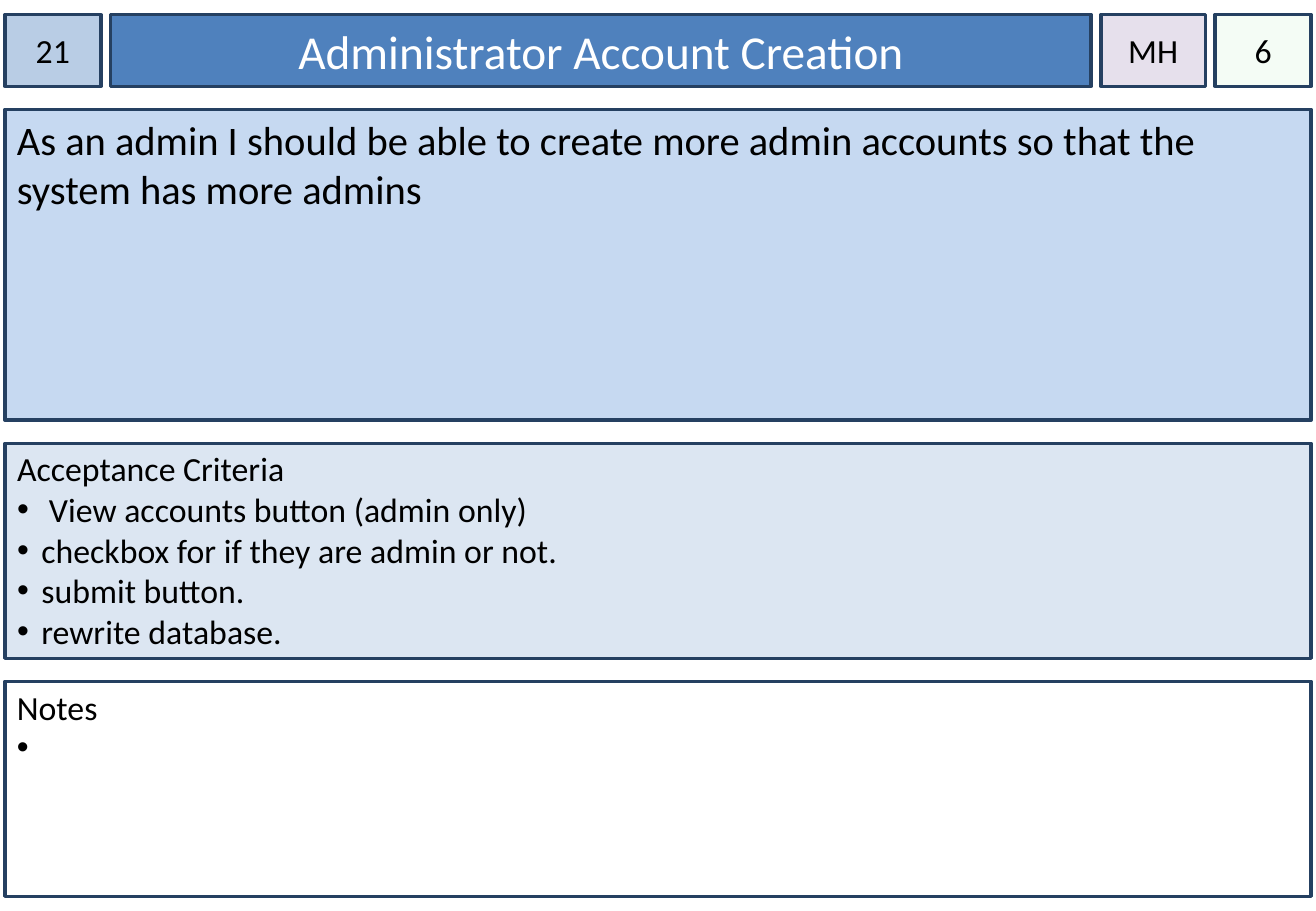
from lxml import etree
from pptx import Presentation
from pptx.dml.color import RGBColor
from pptx.enum.shapes import MSO_SHAPE
from pptx.enum.text import MSO_ANCHOR, MSO_AUTO_SIZE, PP_ALIGN
from pptx.oxml.ns import qn
from pptx.util import Pt

RECT = MSO_SHAPE.RECTANGLE
MIDDLE, TOP = MSO_ANCHOR.MIDDLE, MSO_ANCHOR.TOP
CENTER, LEFT = PP_ALIGN.CENTER, PP_ALIGN.LEFT
NO_FIT = MSO_AUTO_SIZE.NONE

PX = 9144
SLIDE_W, SLIDE_H = 1083, 750
MARGIN_X, MARGIN_Y = 4, 12
CELL_GAP, ROW_GAP = 8, 19
HEADER_H, CARD_W = 59, 1075
INDENT = 20
FONT = "Calibri"

COLORS = {
    "border": "254061", "black": "000000", "white": "FFFFFF",
    "number": "B9CDE5", "title": "4F81BD", "priority": "E6E0EC",
    "estimate": "CCF0CD", "story": "C6D9F1", "criteria": "DCE6F2",
    "notes": "FFFFFF",
}
ALPHA = {"estimate": 20}

HEADER = [
    ("number", 79, "21", 20, "black"),
    ("title", 807, "Administrator Account Creation", 28, "white"),
    ("priority", 86, "MH", 20, "black"),
    ("estimate", 79, "6", 20, "black"),
]
CARDS = [
    ("story", 256, 24, 5,
     "As an admin I should be able to create more admin accounts "
     "so that the system has more admins", []),
    ("criteria", 177, 20, 4, "Acceptance Criteria",
     [" View accounts button (admin only)",
      "checkbox for if they are admin or not.",
      "submit button.",
      "rewrite database."]),
    ("notes", 177, 20, 4, "Notes", [" "]),
]


def rgb(name):
    return RGBColor.from_string(COLORS[name])


def place(name, x, y, w, h):
    box = [v * PX for v in (x, y, w, h)]
    if name in placeholders:
        sp = placeholders[name]
        sp.left, sp.top, sp.width, sp.height = box
    else:
        sp = slide.shapes.add_shape(RECT, *box)
        sp.shadow.inherit = False
    sp.fill.solid()
    sp.fill.fore_color.rgb = rgb(name)
    if name in ALPHA:
        color = sp.fill._xPr.find(".//" + qn("a:srgbClr"))
        etree.SubElement(color, qn("a:alpha"), val=str(ALPHA[name] * 1000))
    sp.line.color.rgb = rgb("border")
    sp.line.width = Pt(2)
    return sp


def set_frame(sp, anchor, side, top):
    tf = sp.text_frame
    tf.word_wrap = True
    tf.auto_size = NO_FIT
    tf.vertical_anchor = anchor
    tf.margin_left = tf.margin_right = side * PX
    tf.margin_top, tf.margin_bottom = top * PX, 5 * PX
    return tf


def write(p, text, size, color, align, bullet=False):
    p.alignment = align
    p.space_before = Pt(0)
    pPr = p._p.get_or_add_pPr()
    indent = INDENT * PX if bullet else 0
    pPr.set("marL", str(indent))
    pPr.set("indent", str(-indent))
    if bullet:
        etree.SubElement(pPr, qn("a:buFont"), typeface="Arial")
        etree.SubElement(pPr, qn("a:buChar"), char="•")
    else:
        etree.SubElement(pPr, qn("a:buNone"))
    r = p.add_run()
    r.text = text
    r.font.name = FONT
    r.font.size = Pt(size)
    r.font.color.rgb = rgb(color)


prs = Presentation()
prs.slide_width, prs.slide_height = SLIDE_W * PX, SLIDE_H * PX
slide = prs.slides.add_slide(prs.slide_layouts[1])
placeholders = {"title": slide.shapes.title, "criteria": slide.placeholders[1]}

x = MARGIN_X
for name, w, text, size, color in HEADER:
    sp = place(name, x, MARGIN_Y, w, HEADER_H)
    tf = set_frame(sp, MIDDLE, 10 if name == "title" else 0, 5)
    write(tf.paragraphs[0], text, size, color, CENTER)
    x += w + CELL_GAP

y = MARGIN_Y + HEADER_H + ROW_GAP
for name, h, size, top, heading, items in CARDS:
    tf = set_frame(place(name, MARGIN_X, y, CARD_W, h), TOP, 10, top)
    write(tf.paragraphs[0], heading, size, "black", LEFT)
    for item in items:
        write(tf.add_paragraph(), item, size, "black", LEFT, bullet=True)
    y += h + ROW_GAP

prs.save("out.pptx")
